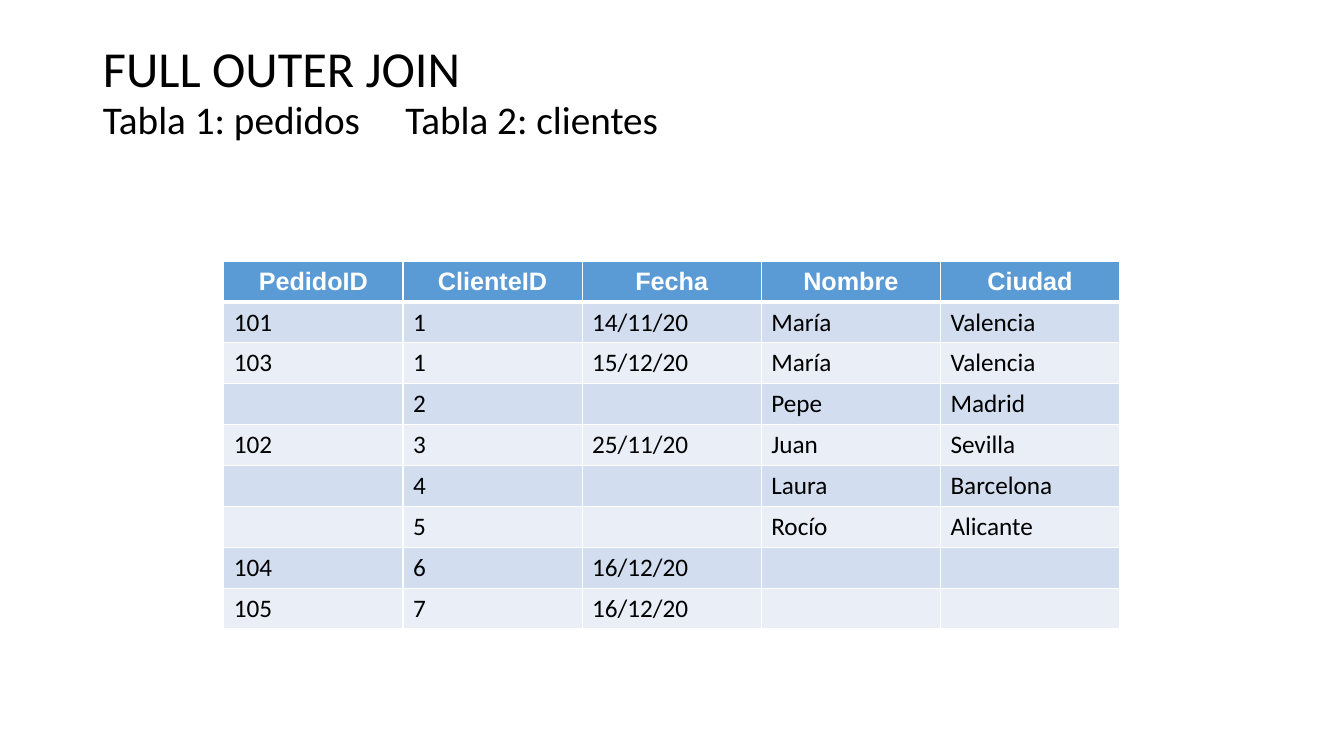
from dataclasses import dataclass

from lxml import etree
from pptx import Presentation
from pptx import util as u
from pptx.dml.color import RGBColor
from pptx.enum import text
from pptx.oxml import ns


@dataclass(frozen=True)
class Theme:
    """Colours, fonts and type sizes of the slide."""
    ink: str = "000000"
    white: str = "FFFFFF"
    header: str = "5B9BD5"
    bands: tuple = ("D2DEEF", "EAEFF7")
    body_font: str = "Calibri"
    header_font: str = "Arial"
    title_size: int = 36
    subtitle_size: int = 28
    table_size: int = 18


theme = Theme()


def add_text(paragraph, words, size, font=theme.body_font, color=theme.ink, bold=False):
    """Add one formatted run to a paragraph."""
    run = paragraph.add_run()
    run.text = words
    run.font.size = u.Pt(size)
    run.font.name = font
    run.font.bold = bold
    run.font.color.rgb = RGBColor.from_string(color)


def set_borders(cell, widths):
    """Draw white borders, with widths in points by side (L, R, T, B)."""
    properties = cell._tc.get_or_add_tcPr()
    for position, (side, width) in enumerate(widths.items()):
        line = etree.Element(ns.qn(f"a:ln{side}"), w=str(u.Pt(width)))
        fill = etree.SubElement(line, ns.qn("a:solidFill"))
        etree.SubElement(fill, ns.qn("a:srgbClr"), val=theme.white)
        properties.insert(position, line)


presentation = Presentation()
presentation.slide_width = u.Cm(33.87)
presentation.slide_height = u.Cm(19.05)
slide = presentation.slides.add_slide(presentation.slide_layouts[1])

# Title and table names
title, body = slide.shapes.title, slide.placeholders[1]
for placeholder, top, height in ((title, 0.61, 2.36), (body, 2.41, 12.09)):
    placeholder.left, placeholder.top = u.Cm(2.34), u.Cm(top)
    placeholder.width, placeholder.height = u.Cm(29.21), u.Cm(height)
    placeholder.text_frame.auto_size = text.MSO_AUTO_SIZE.NONE
    paragraph = placeholder.text_frame.paragraphs[0]
    paragraph.alignment = text.PP_ALIGN.LEFT
    paragraph.line_spacing = 0.9
title.text_frame.vertical_anchor = text.MSO_ANCHOR.MIDDLE
add_text(title.text_frame.paragraphs[0], "FULL OUTER JOIN", theme.title_size)

table_names = body.text_frame.paragraphs[0]
table_names.space_before = u.Pt(10)
properties = table_names._p.get_or_add_pPr()
properties.set("marL", "0")
properties.set("indent", "0")
etree.SubElement(properties, ns.qn("a:buNone"))
tab_stops = etree.SubElement(properties, ns.qn("a:tabLst"))
etree.SubElement(tab_stops, ns.qn("a:tab"), pos=str(u.Cm(15.24)), algn="l")
add_text(table_names, "Tabla 1: pedidos\tTabla 2: clientes", theme.subtitle_size)

# Result of the join
rows = [
    ("PedidoID", "ClienteID", "Fecha", "Nombre", "Ciudad"),
    ("101", "1", "14/11/20", "María", "Valencia"),
    ("103", "1", "15/12/20", "María", "Valencia"),
    ("", "2", "", "Pepe", "Madrid"),
    ("102", "3", "25/11/20", "Juan", "Sevilla"),
    ("", "4", "", "Laura", "Barcelona"),
    ("", "5", "", "Rocío", "Alicante"),
    ("104", "6", "16/12/20", "", ""),
    ("105", "7", "16/12/20", "", ""),
]
join_table = slide.shapes.add_table(
    len(rows), len(rows[0]), u.Cm(5.64), u.Cm(6.58), u.Cm(22.58), u.Cm(9.27)
).table

for row_index, row in enumerate(rows):
    is_header = row_index == 0
    for column_index, words in enumerate(row):
        cell = join_table.cell(row_index, column_index)
        cell.fill.solid()
        color = theme.header if is_header else theme.bands[(row_index - 1) % 2]
        cell.fill.fore_color.rgb = RGBColor.from_string(color)
        set_borders(cell, {"L": 1, "R": 1, "T": 3 if row_index == 1 else 1,
                           "B": 3 if is_header else 1})
        paragraph = cell.text_frame.paragraphs[0]
        if is_header:
            cell.vertical_anchor = text.MSO_ANCHOR.MIDDLE
            paragraph.alignment = text.PP_ALIGN.CENTER
            add_text(paragraph, words, theme.table_size, theme.header_font,
                     theme.white, bold=True)
        elif words:
            add_text(paragraph, words, theme.table_size)

presentation.save("out.pptx")
